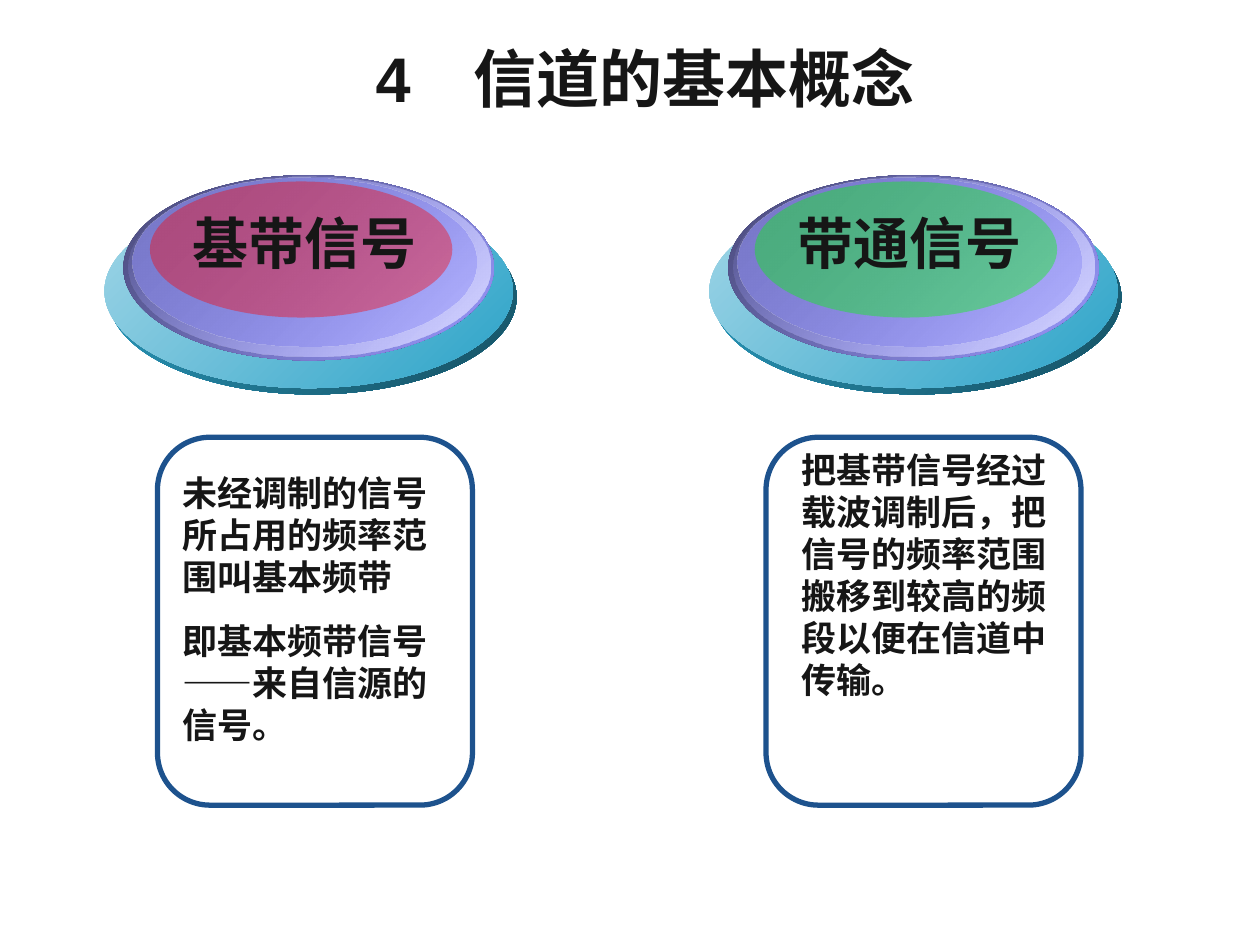
from dataclasses import dataclass
from typing import Optional

from lxml import etree
from pptx import Presentation
from pptx.dml.color import RGBColor
from pptx.enum.shapes import MSO_SHAPE
from pptx.enum.text import MSO_ANCHOR, MSO_AUTO_SIZE, PP_ALIGN
from pptx.oxml.ns import qn
from pptx.util import Inches, Pt

ELLIPSE = MSO_SHAPE.OVAL
ROUNDED = MSO_SHAPE.ROUNDED_RECTANGLE
LEFT, CENTER = PP_ALIGN.LEFT, PP_ALIGN.CENTER
TOP, MIDDLE = MSO_ANCHOR.TOP, MSO_ANCHOR.MIDDLE
NO_FIT = MSO_AUTO_SIZE.NONE

COLUMNS = 10
TITLE_ONLY = 5
INK = "161616"
BORDER = "1D528D"


@dataclass(frozen=True)
class Area:
    column: float
    row: float
    columns: float
    rows: float

    def shifted(self, columns: float) -> "Area":
        return Area(self.column + columns, self.row, self.columns, self.rows)


@dataclass(frozen=True)
class Layer:
    area: Area
    colors: tuple[str, ...]
    opacities: tuple[Optional[int], ...] = (None, None)


@dataclass(frozen=True)
class Topic:
    name: str
    face_color: str
    button_shift: float
    card_shift: float
    details_area: Area
    details: tuple[str, ...]


TITLE_AREA = Area(0.83, 0.28, 8.58, 0.67)
CARD_AREA = Area(1.25, 3.47, 2.5, 2.92)
FACE_AREA = Area(1.19, 1.44, 2.4, 1.08)
NAME_AREA = Area(1.43, 1.61, 1.98, 0.64)
BUTTON_LAYERS = (
    Layer(Area(0.86, 1.59, 3.24, 1.54), ("2CA3C8", "154F61")),
    Layer(Area(0.83, 1.54, 3.24, 1.54), ("A1D6E7", "2CA3C8")),
    Layer(Area(0.98, 1.39, 2.94, 1.47), ("474776", "9999FF")),
    Layer(Area(1.02, 1.4, 2.87, 1.43), ("9999FF", "DBDBFF"), (0, None)),
    Layer(Area(1.05, 1.41, 2.73, 1.34), ("7979CA", "9999FF"), (None, 48)),
)
TOPICS = (
    Topic("基带信号", "FF0000", 0, 0, Area(1.35, 3.69, 2.23, 2.66),
          ("未经调制的信号所占用的频率范围叫基本频带",
           "即基本频带信号——来自信源的信号。")),
    Topic("带通信号", "00FF00", 4.8, 4.83, Area(6.26, 3.51, 2.23, 2.1),
          ("把基带信号经过载波调制后，把信号的频率范围搬移到较高的频段以便在信道中传输。",)),
)

presentation = Presentation()
presentation.slide_width = Inches(10)
presentation.slide_height = Inches(7.5)
CELL = presentation.slide_width / COLUMNS


def color(value: str) -> RGBColor:
    return RGBColor.from_string(value)


def apply(target, values: dict) -> None:
    for name, value in values.items():
        setattr(target, name, value)


def place(area: Area) -> tuple[int, ...]:
    lengths = (area.column, area.row, area.columns, area.rows)
    return tuple(round(length * CELL) for length in lengths)


def write(frame, texts: tuple[str, ...], size: int, align=LEFT,
          anchor=TOP, wrap: bool = True) -> None:
    apply(frame, {"word_wrap": wrap, "auto_size": NO_FIT, "vertical_anchor": anchor})
    for index, text in enumerate(texts):
        paragraph = frame.add_paragraph() if index else frame.paragraphs[0]
        apply(paragraph, {"text": text, "alignment": align,
                          "space_before": Pt(8.8 if index else 0),
                          "space_after": Pt(3.7 if len(texts) > 1 else 0)})
        font = paragraph.runs[0].font
        apply(font, {"name": "Arial", "size": Pt(size), "bold": True})
        font.color.rgb = color(INK)


def add_text(slide, area: Area, texts: tuple[str, ...], size: int, **options) -> None:
    write(slide.shapes.add_textbox(*place(area)).text_frame, texts, size, **options)


def add_layer(slide, layer: Layer, shift: float) -> None:
    shape = slide.shapes.add_shape(ELLIPSE, *place(layer.area.shifted(shift)))
    shape.shadow.inherit = False
    shape.line.fill.background()
    if len(layer.colors) == 1:
        shape.fill.solid()
        shape.fill.fore_color.rgb = color(layer.colors[0])
    else:
        shape.fill.gradient()
        shape.fill.gradient_angle = 315
        for stop, value in zip(shape.fill.gradient_stops, layer.colors):
            stop.color.rgb = color(value)
    fill_colors = list(shape._element.spPr.iter(qn("a:srgbClr")))
    for element, opacity in zip(fill_colors, layer.opacities):
        if opacity is not None:
            etree.SubElement(element, qn("a:alpha")).set("val", str(opacity * 1000))


def add_card(slide, topic: Topic) -> None:
    card = slide.shapes.add_shape(ROUNDED, *place(CARD_AREA.shifted(topic.card_shift)))
    card.shadow.inherit = False
    card.fill.background()
    card.line.color.rgb = color(BORDER)
    card.line.width = Pt(3)
    add_text(slide, topic.details_area, topic.details, 20)


def add_button(slide, topic: Topic) -> None:
    face = Layer(FACE_AREA, (topic.face_color,), (38,))
    for layer in (*BUTTON_LAYERS, face):
        add_layer(slide, layer, topic.button_shift)
    add_text(slide, NAME_AREA.shifted(topic.button_shift), (topic.name,), 32,
             align=CENTER, wrap=False)


def main() -> None:
    slide = presentation.slides.add_slide(presentation.slide_layouts[TITLE_ONLY])
    title = slide.shapes.title
    apply(title, dict(zip(("left", "top", "width", "height"), place(TITLE_AREA))))
    write(title.text_frame, ("4　信道的基本概念",), 36, align=CENTER, anchor=MIDDLE)
    for topic in TOPICS:
        add_card(slide, topic)
        add_button(slide, topic)
    presentation.save("out.pptx")


if __name__ == "__main__":
    main()
